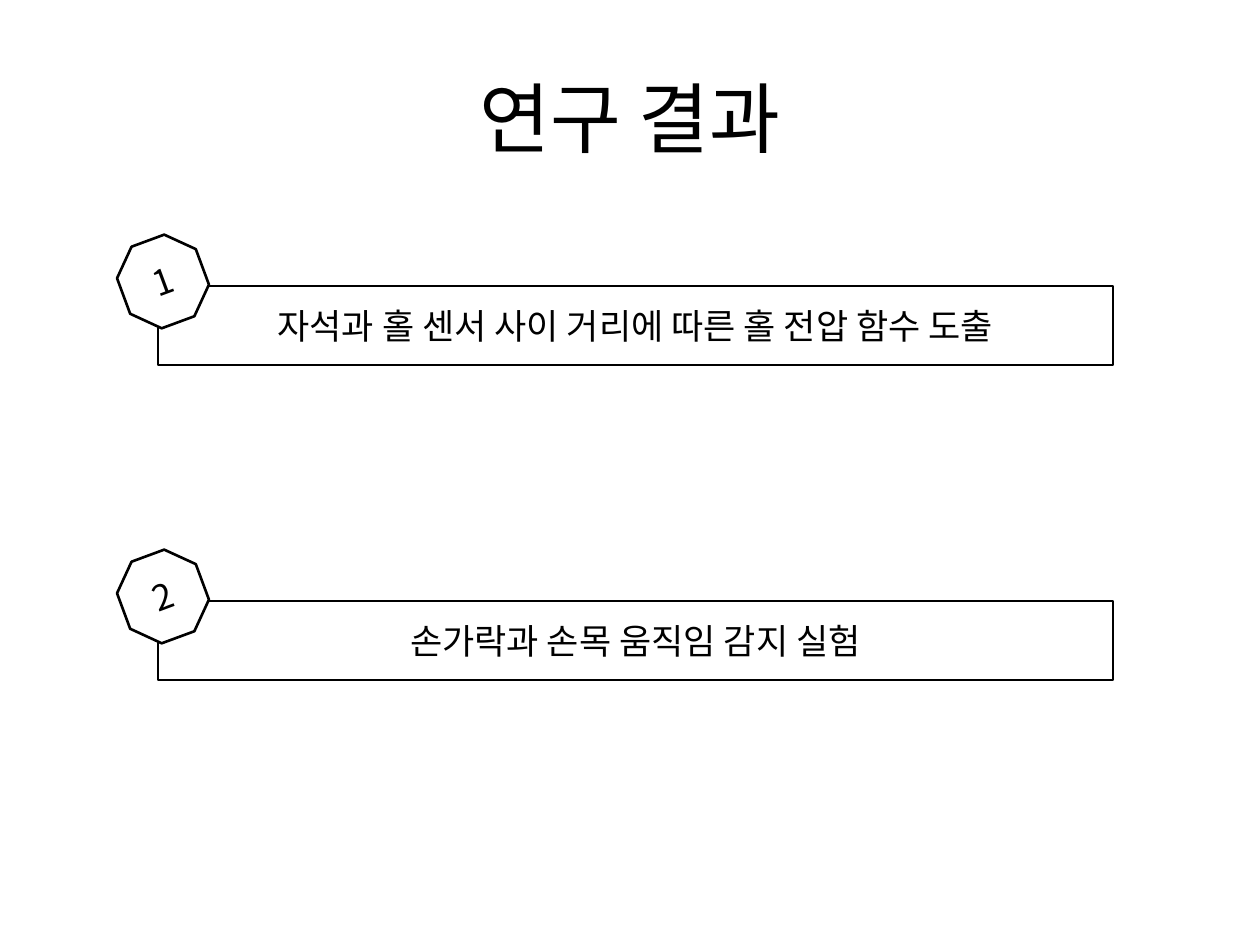
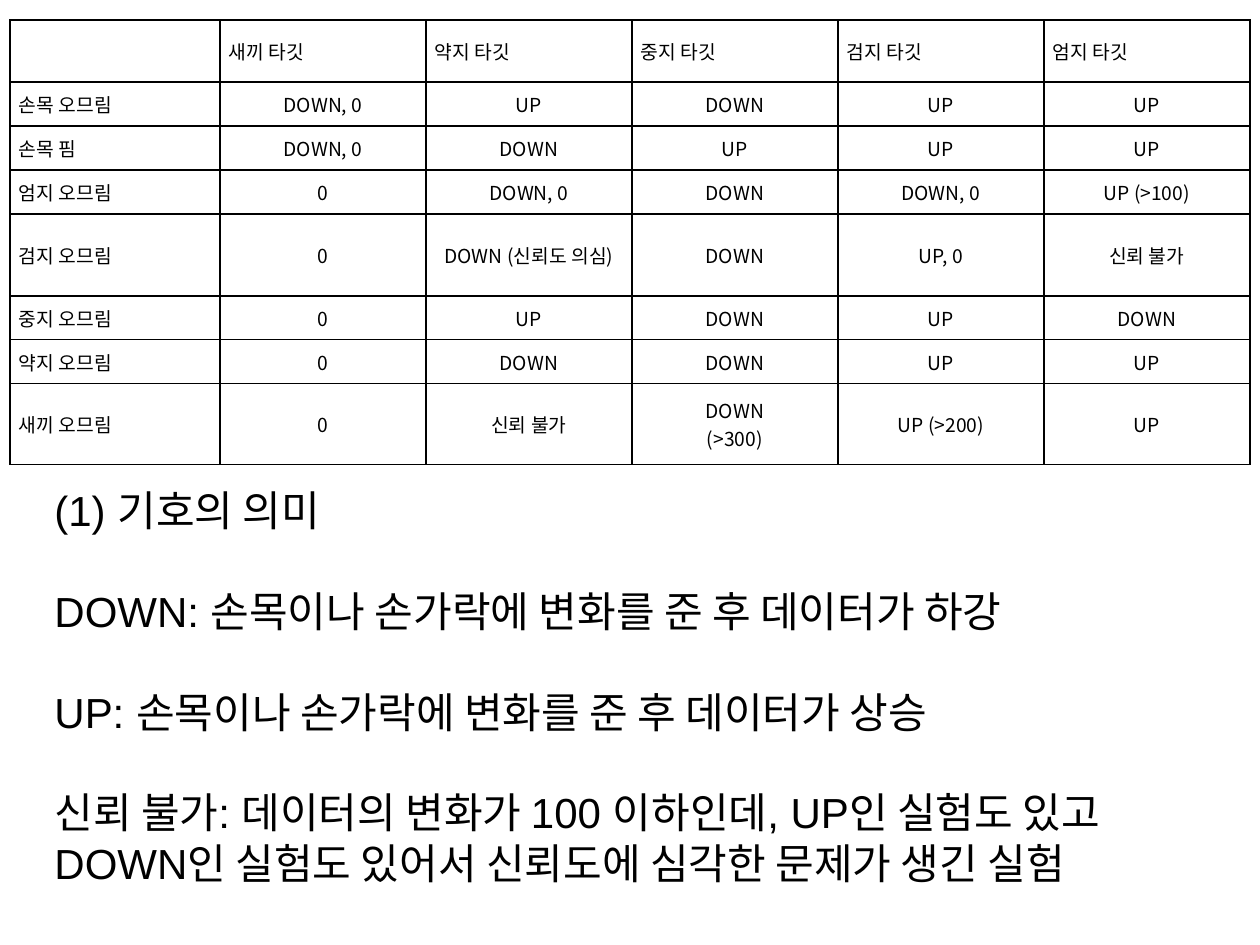
from lxml.etree import SubElement
from pptx import Presentation
from pptx.dml.color import RGBColor
from pptx.enum.shapes import MSO_SHAPE
from pptx.enum.text import MSO_ANCHOR, MSO_AUTO_SIZE, PP_ALIGN
from pptx.oxml.ns import qn
from pptx.util import Emu, Pt

BLACK = RGBColor(0, 0, 0)
WHITE = RGBColor(255, 255, 255)
KOREAN_FONT = "Noto Sans CJK KR"
LATIN_FONT = "Arial"
EMU_PER_PX = 914400 / 126

RESULTS = ["자석과 홀 센서 사이 거리에 따른 홀 전압 함수 도출", "손가락과 손목 움직임 감지 실험"]
RESULT_TOP, RESULT_STEP = 286, 315

TARGETS = ["", "새끼 타깃", "약지 타깃", "중지 타깃", "검지 타깃", "엄지 타깃"]
MOVEMENTS = [
    ["손목 오므림", "DOWN, 0", "UP", "DOWN", "UP", "UP"],
    ["손목 핌", "DOWN, 0", "DOWN", "UP", "UP", "UP"],
    ["엄지 오므림", "0", "DOWN, 0", "DOWN", "DOWN, 0", "UP (>100)"],
    ["검지 오므림", "0", "DOWN (신뢰도 의심)", "DOWN", "UP, 0", "신뢰 불가"],
    ["중지 오므림", "0", "UP", "DOWN", "UP", "DOWN"],
    ["약지 오므림", "0", "DOWN", "DOWN", "UP", "UP"],
    ["새끼 오므림", "0", "신뢰 불가", "DOWN\n(>300)", "UP (>200)", "UP"],
]
COLUMN_WIDTHS = [210] + [206] * 5
ROW_HEIGHTS = [62, 44, 44, 44, 82, 44, 44, 81]
CELL_FORMAT = {
    "margin_left": 9, "margin_right": 9, "margin_top": 2, "margin_bottom": 2,
}

MEANINGS = [
    "(1) 기호의 의미",
    "DOWN: 손목이나 손가락에 변화를 준 후 데이터가 하강",
    "UP: 손목이나 손가락에 변화를 준 후 데이터가 상승",
    "신뢰 불가: 데이터의 변화가 100 이하인데, UP인 실험도 있고",
    "DOWN인 실험도 있어서 신뢰도에 심각한 문제가 생긴 실험",
]


def px(length):
    return Emu(round(length * EMU_PER_PX))


def write(frame, lines, size, align, font=KOREAN_FONT):
    """Fill a text frame with one paragraph per line, centred vertically."""
    frame.vertical_anchor = MSO_ANCHOR.MIDDLE
    for index, line in enumerate(lines):
        paragraph = frame.add_paragraph() if index else frame.paragraphs[0]
        paragraph.alignment = align
        run = paragraph.add_run()
        run.text = line
        run.font.size = Pt(size)
        run.font.name = font
        run.font.color.rgb = BLACK
        east_asian = SubElement(run.font._element, qn("a:ea"))
        east_asian.set("typeface", KOREAN_FONT)


def add_title(slide, text):
    title = slide.shapes.title
    place = {"left": 63, "top": 38, "width": 1134, "height": 157}
    for name, length in place.items():
        setattr(title, name, px(length))
    write(title.text_frame, [text], 44, PP_ALIGN.CENTER)


def add_outlined(slide, kind, box, text, rotation=0):
    shape = slide.shapes.add_shape(kind, *map(px, box))
    shape.rotation = rotation
    shape.shadow.inherit = False
    shape.fill.solid()
    shape.fill.fore_color.rgb = WHITE
    shape.line.color.rgb = BLACK
    shape.line.width = Pt(1.5)
    write(shape.text_frame, [text], 20, PP_ALIGN.CENTER)


def add_result(slide, number, text):
    """Add a boxed result with a tilted number badge on its corner."""
    top = RESULT_TOP + (number - 1) * RESULT_STEP
    add_outlined(slide, MSO_SHAPE.RECTANGLE, (158, top, 955, 79), text)
    add_outlined(slide, MSO_SHAPE.OCTAGON, (121, top - 48, 84, 87), str(number), 339.7)


def add_borders(cell):
    properties = cell._tc.get_or_add_tcPr()
    for index, side in enumerate(("a:lnL", "a:lnR", "a:lnT", "a:lnB")):
        line = SubElement(properties, qn(side), w=str(Pt(1)))
        fill = SubElement(line, qn("a:solidFill"))
        SubElement(fill, qn("a:srgbClr"), val=str(BLACK))
        properties.insert(index, line)


def format_cell(cell, text, align):
    for name, length in CELL_FORMAT.items():
        setattr(cell, name, px(length))
    cell.vertical_anchor = MSO_ANCHOR.MIDDLE
    cell.fill.solid()
    cell.fill.fore_color.rgb = WHITE
    add_borders(cell)
    if text:
        write(cell.text_frame, text.split("\n"), 11, align)


def add_movement_table(slide):
    rows = [TARGETS] + MOVEMENTS
    box = (10, 20, sum(COLUMN_WIDTHS), sum(ROW_HEIGHTS))
    table = slide.shapes.add_table(len(rows), len(TARGETS), *map(px, box)).table
    table.first_row = table.horz_banding = False
    for column, width in zip(table.columns, COLUMN_WIDTHS):
        column.width = px(width)
    for row, height in zip(table.rows, ROW_HEIGHTS):
        row.height = px(height)
    for r, texts in enumerate(rows):
        for c, text in enumerate(texts):
            is_heading = r == 0 or c == 0
            align = PP_ALIGN.JUSTIFY if is_heading else PP_ALIGN.CENTER
            format_cell(table.cell(r, c), text, align)


def add_meanings(slide):
    frame = slide.shapes.add_textbox(*map(px, (42, 476, 1179, 420))).text_frame
    frame.word_wrap = True
    frame.auto_size = MSO_AUTO_SIZE.SHAPE_TO_FIT_TEXT
    write(frame, MEANINGS, 24, PP_ALIGN.LEFT, LATIN_FONT)
    for paragraph in frame.paragraphs[:3]:
        paragraph.space_after = Pt(28.8)


def main():
    deck = Presentation()
    deck.slide_width, deck.slide_height = px(1260), px(945)
    title_only, blank = deck.slide_layouts[5], deck.slide_layouts[6]

    results = deck.slides.add_slide(title_only)
    add_title(results, "연구 결과")
    for number, text in enumerate(RESULTS, 1):
        add_result(results, number, text)

    signals = deck.slides.add_slide(blank)
    add_movement_table(signals)
    add_meanings(signals)
    deck.save("out.pptx")


if __name__ == "__main__":
    main()
